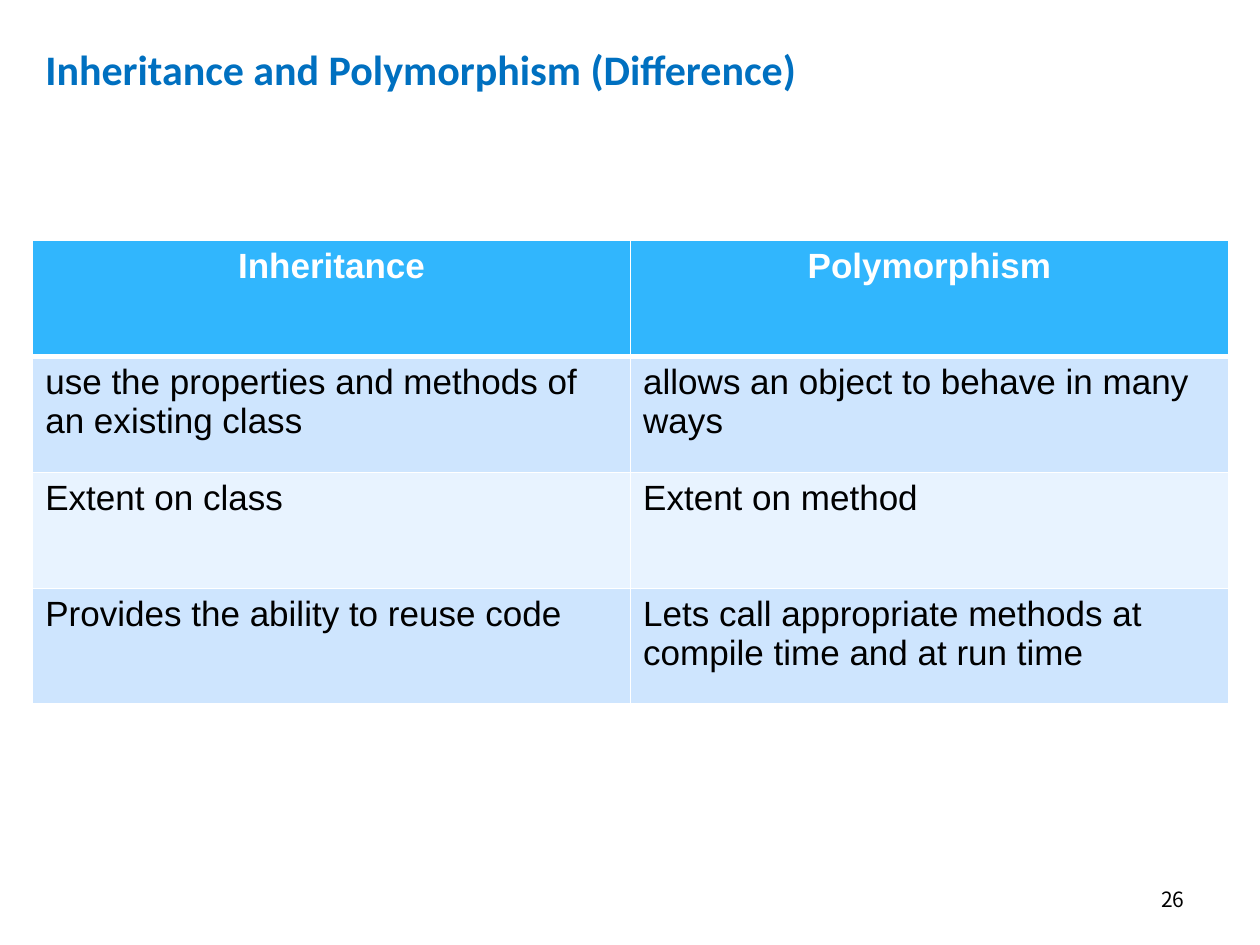
from lxml.etree import SubElement
from pptx import Presentation
from pptx.dml.color import RGBColor
from pptx.enum.text import MSO_ANCHOR, MSO_AUTO_SIZE, PP_ALIGN
from pptx.oxml.ns import qn
from pptx.util import Inches, Pt

COLORS = {
    "title": "0070C0", "head": "31B6FD", "odd": "CEE5FE",
    "even": "E8F3FF", "white": "FFFFFF", "black": "000000",
}
ROWS = [
    ("Inheritance", "Polymorphism"),
    ("use the properties and methods of an existing class",
     "allows an object to behave in many ways"),
    ("Extent on class", "Extent on method"),
    ("Provides the ability to reuse code",
     "Lets call appropriate methods at compile time and at run time"),
]


def write(frame, text, *, size, font="Arial", color="black", bold=False,
          align=PP_ALIGN.LEFT, space=1.0):
    frame.word_wrap = True
    par = frame.paragraphs[0]
    par.alignment = align
    par.line_spacing = space
    run = par.add_run()
    run.text = text
    run.font.size = Pt(size)
    run.font.name = font
    run.font.bold = bold
    run.font.color.rgb = RGBColor.from_string(COLORS[color])


def add_line(cell, side, width):
    props = cell._tc.get_or_add_tcPr()
    line = SubElement(props, qn(f"a:ln{side}"), w=str(Pt(width)))
    fill = SubElement(line, qn("a:solidFill"))
    SubElement(fill, qn("a:srgbClr"), val=COLORS["white"])


class Deck:
    def __init__(self):
        self.prs = Presentation()
        self.prs.slide_width = Inches(10)
        self.prs.slide_height = Inches(7.5)
        self.slide = self.prs.slides.add_slide(self.prs.slide_layouts[5])

    def title(self, text, *box):
        shape = self.slide.shapes.title
        shape.left, shape.top, shape.width, shape.height = map(Inches, box)
        frame = shape.text_frame
        frame.auto_size = MSO_AUTO_SIZE.NONE
        frame.vertical_anchor = MSO_ANCHOR.MIDDLE
        write(frame, text, size=24, font="Calibri", color="title",
              bold=True, space=0.9)

    def table(self, rows, *box):
        table = self.slide.shapes.add_table(
            len(rows), len(rows[0]), *map(Inches, box)).table
        for r, row in enumerate(rows):
            for c, text in enumerate(row):
                self.cell(table.cell(r, c), text, r)

    def cell(self, cell, text, row):
        head = row == 0
        # A thick rule parts the header from the body
        widths = {"L": 1, "R": 1, "T": 3 if row == 1 else 1,
                  "B": 3 if head else 1}
        for side, width in widths.items():
            add_line(cell, side, width)
        shade = "head" if head else "odd" if row % 2 else "even"
        cell.fill.solid()
        cell.fill.fore_color.rgb = RGBColor.from_string(COLORS[shade])
        write(cell.text_frame, text, size=20, bold=head,
              color="white" if head else "black",
              align=PP_ALIGN.CENTER if head else PP_ALIGN.LEFT)

    def number(self, text, *box):
        shape = self.slide.shapes.add_textbox(*map(Inches, box))
        write(shape.text_frame, text, size=12, font="Noto Sans CJK SC",
              align=PP_ALIGN.RIGHT)


def main():
    deck = Deck()
    # Heading
    deck.title("Inheritance and Polymorphism (Difference)",
               0.26, 0.19, 9.49, 0.76)
    # Comparison
    deck.table(ROWS, 0.26, 1.91, 9.49, 3.68)
    # Page number
    deck.number("26", 7.17, 6.99, 2.33, 0.41)
    deck.prs.save("out.pptx")


if __name__ == "__main__":
    main()
